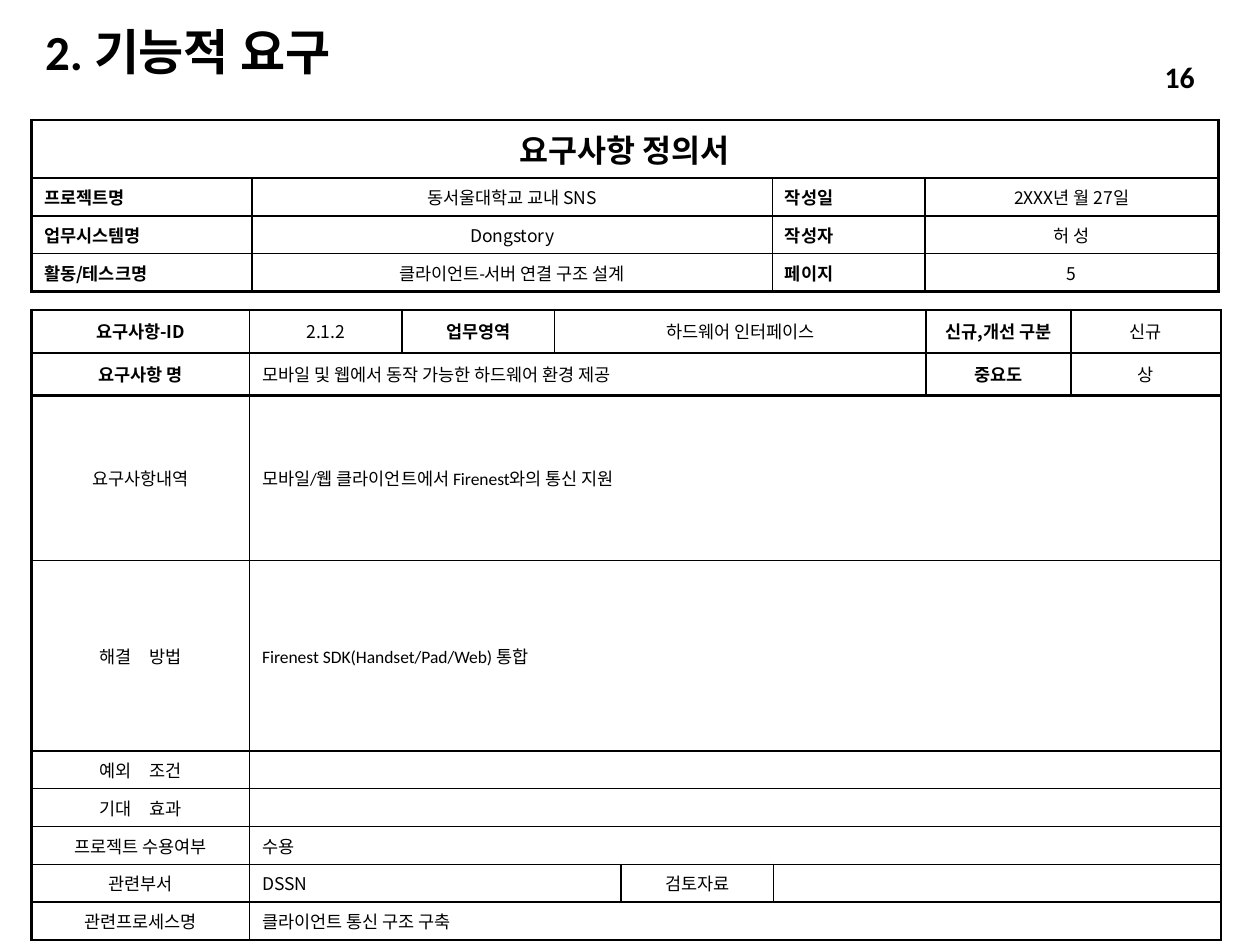
import pptx
import pptx.dml.color
import pptx.enum.text
import pptx.oxml.ns
import pptx.util
import lxml.etree

INCH = pptx.util.Inches
ALIGN = pptx.enum.text.PP_ALIGN
ANCHOR = pptx.enum.text.MSO_ANCHOR
COLORS = {"ink": "000000", "paper": "FFFFFF"}
KOREAN, LATIN = "Noto Sans CJK KR", "Calibri"
SLIDE_WIDTH, SLIDE_HEIGHT = 10, 7.5
TABLE_LEFT = 0.025 * SLIDE_WIDTH
THIN, THICK = 1, 1.5

STYLES = {
    "title": {"align": ALIGN.LEFT, "size": 28, "name": LATIN, "bold": True},
    "number": {"align": ALIGN.RIGHT, "size": 17, "name": LATIN, "bold": True},
    "heading": {"align": ALIGN.CENTER, "size": 18, "name": KOREAN, "bold": True},
    "field": {"align": ALIGN.JUSTIFY, "size": 10, "name": KOREAN, "bold": True},
    "label": {"align": ALIGN.CENTER, "size": 10, "name": KOREAN, "bold": True},
    "value": {"align": ALIGN.CENTER, "size": 10, "name": KOREAN, "bold": False},
    "design": {"align": ALIGN.CENTER, "size": 10, "name": LATIN, "bold": False},
    "entry": {"align": ALIGN.LEFT, "size": 10, "name": KOREAN, "bold": False},
    "detail": {"align": ALIGN.LEFT, "size": 10, "name": LATIN, "bold": False},
}

CAPTIONS = [
    ("2. 기능적 요구", "title", (0.26, 0.21, 5.36, 0.44), 0.9),
    ("16", "number", (7.96, 0.41, 1.62, 0.4), 1.0),
]

REQUIREMENT = {
    "top": 2.46,
    "columns": [1.73, 1.21, 1.21, 0.53, 1.21, 1.21, 1.15, 1.19],
    "heights": [0.34, 0.34, 1.31, 1.51] + [0.3] * 5,
    "thick_below": {0, 1},
    "anchors": [ANCHOR.MIDDLE] * 9,
    "rows": [
        [("요구사항-ID", "label", 1), ("2.1.2", "value", 1), ("업무영역", "label", 1),
         ("하드웨어 인터페이스", "value", 3), ("신규,개선 구분", "label", 1), ("신규", "value", 1)],
        [("요구사항 명", "label", 1), ("모바일 및 웹에서 동작 가능한 하드웨어 환경 제공", "detail", 5),
         ("중요도", "label", 1), ("상", "value", 1)],
        [("요구사항내역", "value", 1), ("모바일/웹 클라이언트에서 Firenest와의 통신 지원", "detail", 7)],
        [("해결　방법", "value", 1), ("Firenest SDK(Handset/Pad/Web) 통합", "detail", 7)],
        [("예외　조건", "value", 1), ("", "entry", 7)],
        [("기대　효과", "value", 1), ("", "entry", 7)],
        [("프로젝트 수용여부", "value", 1), ("수용", "entry", 7)],
        [("관련부서", "value", 1), ("DSSN", "entry", 3), ("검토자료", "value", 1), ("", "entry", 3)],
        [("관련프로세스명", "value", 1), ("클라이언트 통신 구조 구축", "detail", 7)],
    ],
}

DOCUMENT = {
    "top": 0.95,
    "columns": [1.75, 4.13, 1.21, 2.33],
    "heights": [0.46] + [0.3] * 3,
    "thick_below": set(),
    "anchors": [ANCHOR.MIDDLE] + [ANCHOR.TOP] * 3,
    "rows": [
        [("요구사항 정의서", "heading", 4)],
        [("프로젝트명", "field", 1), ("동서울대학교 교내 SNS", "value", 1),
         ("작성일", "field", 1), ("2XXX년 월 27일", "value", 1)],
        [("업무시스템명", "field", 1), ("Dongstory", "value", 1),
         ("작성자", "field", 1), ("허 성", "value", 1)],
        [("활동/테스크명", "field", 1), ("클라이언트-서버 연결 구조 설계", "design", 1),
         ("페이지", "field", 1), ("5", "value", 1)],
    ],
}


def write(frame, wording, style):
    look = dict(STYLES[style])
    paragraph = frame.paragraphs[0]
    paragraph.alignment = look.pop("align")
    look["size"] = pptx.util.Pt(look["size"])
    if not wording:
        ending = lxml.etree.SubElement(paragraph._p, pptx.oxml.ns.qn("a:endParaRPr"))
        ending.set("sz", str(look["size"].centipoints))
        return
    run = paragraph.add_run()
    run.text = wording
    for attribute, setting in look.items():
        setattr(run.font, attribute, setting)
    run.font.color.rgb = pptx.dml.color.RGBColor.from_string(COLORS["ink"])
    east_asian = lxml.etree.Element(pptx.oxml.ns.qn("a:ea"), typeface=KOREAN)
    run.font._element.find(pptx.oxml.ns.qn("a:latin")).addnext(east_asian)


def draw_borders(cell, widths):
    properties = cell._tc.get_or_add_tcPr()
    for side, width in widths.items():
        border = lxml.etree.SubElement(properties, pptx.oxml.ns.qn("a:ln" + side))
        border.set("w", str(pptx.util.Pt(width)))
        fill = lxml.etree.SubElement(border, pptx.oxml.ns.qn("a:solidFill"))
        lxml.etree.SubElement(fill, pptx.oxml.ns.qn("a:srgbClr"), val=COLORS["ink"])


def build_form(slide, form):
    columns, heights = form["columns"], form["heights"]
    last_row = len(heights) - 1
    thick_below = form["thick_below"] | {-1, last_row}
    table = slide.shapes.add_table(
        len(heights), len(columns), INCH(TABLE_LEFT), INCH(form["top"]),
        INCH(sum(columns)), INCH(sum(heights))).table
    table.first_row = table.horz_banding = False
    for column, width in zip(table.columns, columns):
        column.width = INCH(width)
    for row, height in zip(table.rows, heights):
        row.height = INCH(height)
    for r, entries in enumerate(form["rows"]):
        start = 0
        for wording, style, span in entries:
            end = start + span
            cell = table.cell(r, start)
            if span > 1:
                cell.merge(table.cell(r, end - 1))
            cell.vertical_anchor = form["anchors"][r]
            write(cell.text_frame, wording, style)
            draw_borders(cell, {
                "L": THICK if start == 0 else THIN,
                "R": THICK if end == len(columns) else THIN,
                "T": THICK if r - 1 in thick_below else THIN,
                "B": THICK if r in thick_below else THIN,
            })
            for c in range(start, end):
                table.cell(r, c).fill.solid()
                table.cell(r, c).fill.fore_color.rgb = pptx.dml.color.RGBColor.from_string(COLORS["paper"])
            start = end


def main():
    deck = pptx.Presentation()
    deck.slide_width, deck.slide_height = INCH(SLIDE_WIDTH), INCH(SLIDE_HEIGHT)
    slide = deck.slides.add_slide(deck.slide_layouts[6])
    for form in (REQUIREMENT, DOCUMENT):
        build_form(slide, form)
    for wording, style, place, spacing in CAPTIONS:
        frame = slide.shapes.add_textbox(*map(INCH, place)).text_frame
        frame.word_wrap = True
        frame.vertical_anchor = ANCHOR.MIDDLE
        frame.paragraphs[0].line_spacing = spacing
        write(frame, wording, style)
    deck.save("out.pptx")


if __name__ == "__main__":
    main()
